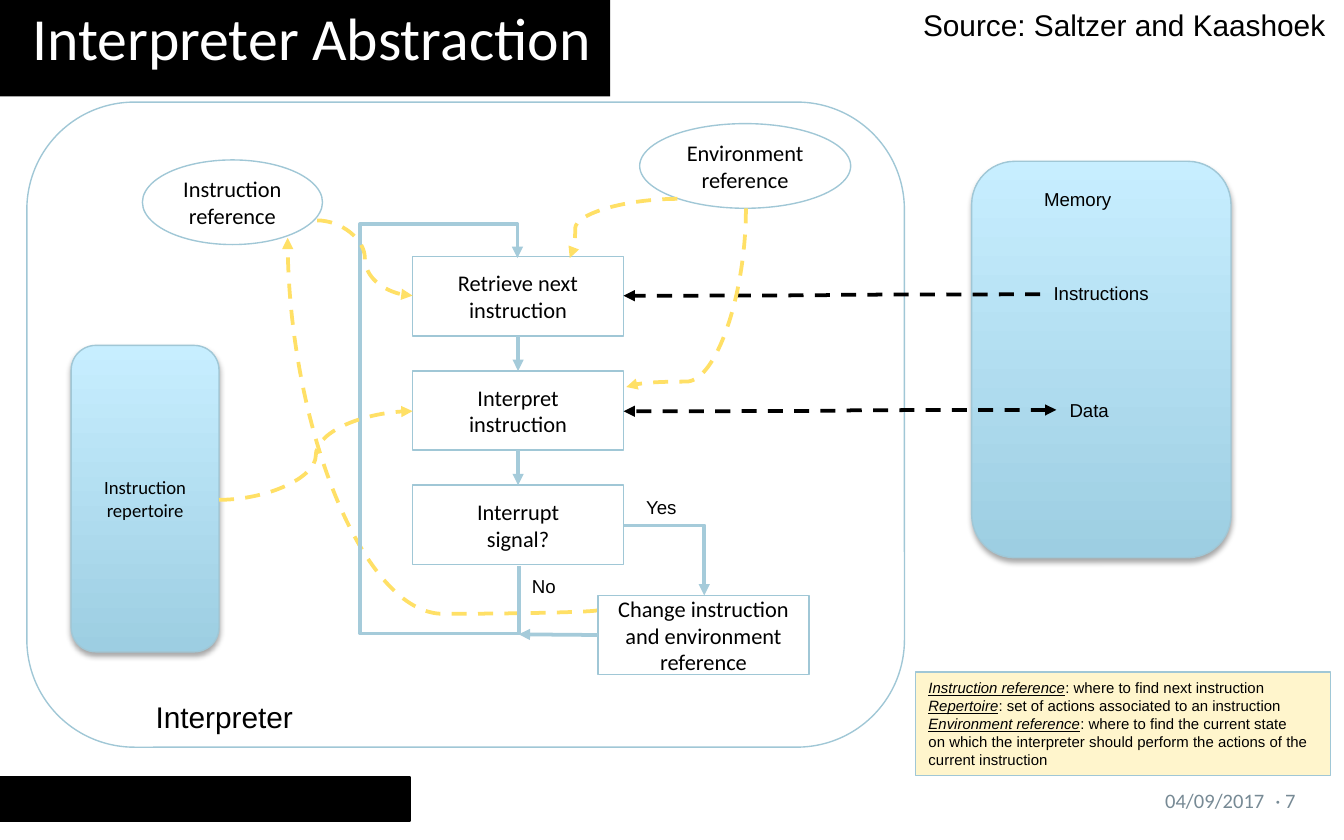
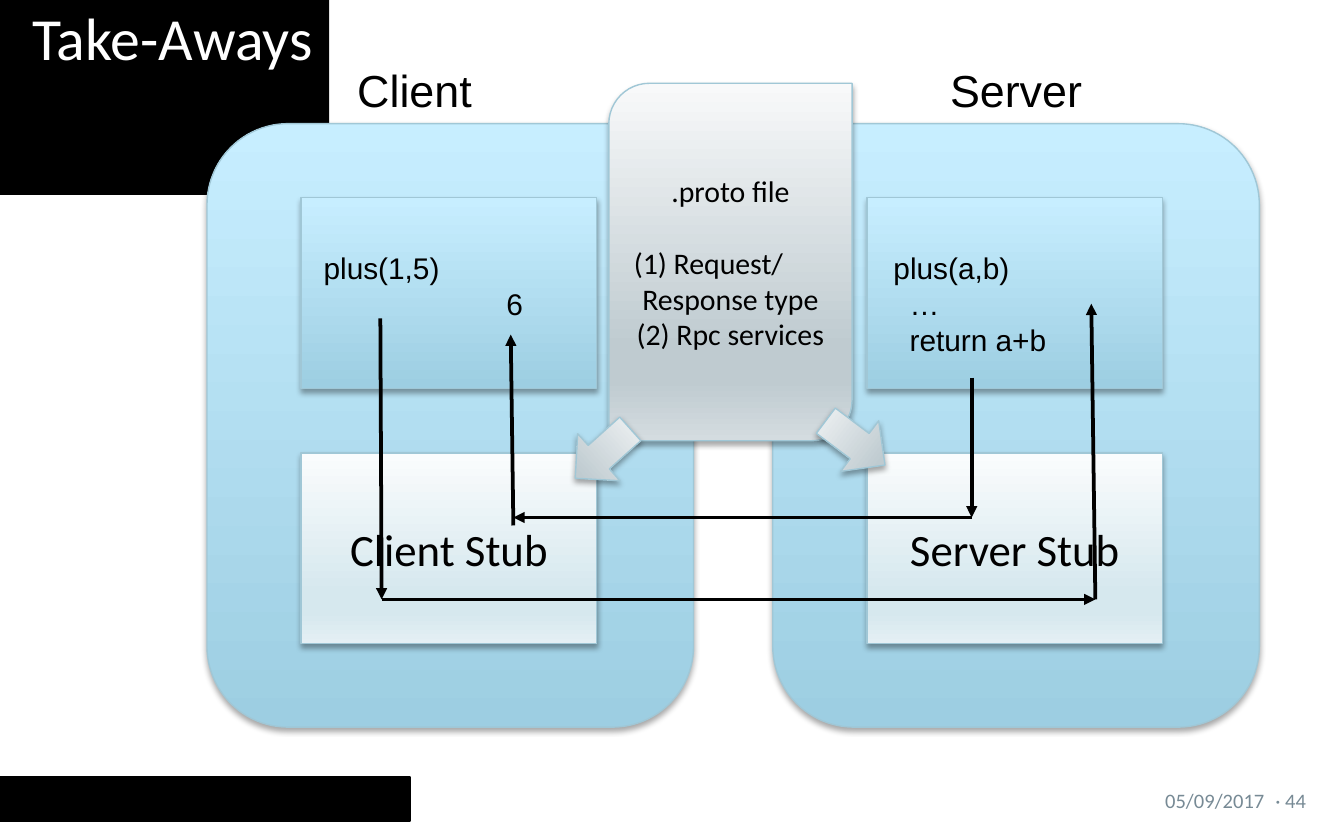
from lxml.etree import SubElement
from pptx import Presentation
from pptx.dml.color import RGBColor
from pptx.enum.dml import MSO_LINE
from pptx.enum.shapes import MSO_CONNECTOR, MSO_SHAPE
from pptx.enum.text import MSO_ANCHOR, MSO_AUTO_SIZE, PP_ALIGN
from pptx.oxml.ns import qn
from pptx.util import Inches, Pt

RECT, ROUND, OVAL = MSO_SHAPE.RECTANGLE, MSO_SHAPE.ROUNDED_RECTANGLE, MSO_SHAPE.OVAL
DIAGONAL, DOWN_ARROW = MSO_SHAPE.ROUND_2_DIAG_RECTANGLE, MSO_SHAPE.DOWN_ARROW
STRAIGHT, ELBOW, CURVE = MSO_CONNECTOR.STRAIGHT, MSO_CONNECTOR.ELBOW, MSO_CONNECTOR.CURVE
LEFT, CENTER, RIGHT = PP_ALIGN.LEFT, PP_ALIGN.CENTER, PP_ALIGN.RIGHT
TOP, MIDDLE = MSO_ANCHOR.TOP, MSO_ANCHOR.MIDDLE
FIT, DASH = MSO_AUTO_SIZE.SHAPE_TO_FIT_TEXT, MSO_LINE.DASH

COLORS = {
    "black": "000000", "white": "FFFFFF", "footer": "778A95", "outline": "A0C7D6",
    "flow": "A5CBDA", "reference": "FFE066", "legend": "FFF5CC",
}
# Gradients: angle (clockwise) and stops
GRADIENTS = {
    "blue": (270, [(0, "9DCEE2"), (100, "C7EEFF")]),
    "pale": (90, [(0, "FAFCFD"), (74, "D6E8EE"), (83, "D6E8EE"), (100, "E4EFF4")]),
    "gray": (90, [(0, "F8F9FA"), (74, "BFCBD0"), (83, "BFCBD0"), (100, "D4DCE0")]),
}


def add_box(page, kind, at, text="", size=12, font="Calibri", fill=None, color="black"):
    """Add a preset shape, or a text box that fits its text when kind is None."""
    place = [Inches(length) for length in at]
    if kind is None:
        box = page.shapes.add_textbox(*place)
    else:
        box = page.shapes.add_shape(kind, *place)
        box.shadow.inherit = False
    if fill in GRADIENTS:
        angle, stops = GRADIENTS[fill]
        box.fill.gradient()
        box.fill.gradient_angle = 360 - angle
        properties = box.element.spPr
        stop_list = properties.find(".//" + qn("a:gsLst"))
        for stop in list(stop_list):
            stop_list.remove(stop)
        for position, shade in stops:
            stop = SubElement(stop_list, qn("a:gs"), pos=str(position * 1000))
            SubElement(stop, qn("a:srgbClr"), val=shade)
        shadow = SubElement(properties.find(qn("a:effectLst")), qn("a:outerShdw"),
                            blurRad=str(Pt(3.1)), dist=str(Pt(1.8)), dir="5400000",
                            rotWithShape="0")
        tint = SubElement(shadow, qn("a:srgbClr"), val=COLORS["black"])
        SubElement(tint, qn("a:alpha"), val="35000")
    elif fill:
        box.fill.solid()
        box.fill.fore_color.rgb = RGBColor.from_string(COLORS[fill])
    else:
        box.fill.background()
    if kind is not None or fill:
        box.line.color.rgb = RGBColor.from_string(COLORS["outline"])
        box.line.width = Pt(0.75)
    if text or kind is None:
        frame = box.text_frame
        frame.text = text
        frame.word_wrap = kind is not None
        frame.vertical_anchor = TOP if kind is None else MIDDLE
        if kind is None:
            frame.auto_size = FIT
        for para in frame.paragraphs:
            para.alignment = LEFT if kind is None else CENTER
            for span in para.runs:
                span.font.size, span.font.name = Pt(size), font
                span.font.color.rgb = RGBColor.from_string(COLORS[color])
    return box


def add_arrow(page, kind, start, end, color="black", dash=False, preset=None,
              bends=(), turn=0, both=False):
    """Add an arrow; bends are fractions of its frame, turn rotates the frame."""
    arrow = page.shapes.add_connector(kind, *[Inches(length) for length in (*start, *end)])
    arrow.line.color.rgb = RGBColor.from_string(COLORS[color])
    arrow.line.width = Pt(2)
    if dash:
        arrow.line.dash_style = DASH
    properties = arrow.element.spPr
    line = properties.find(qn("a:ln"))
    if both:
        SubElement(line, qn("a:headEnd"), type="triangle")
    SubElement(line, qn("a:tailEnd"), type="triangle")
    SubElement(properties, qn("a:effectLst"))
    geometry = properties.find(qn("a:prstGeom"))
    if preset:
        geometry.set("prst", preset)
    for number, bend in enumerate(bends, 1):
        SubElement(geometry.find(qn("a:avLst")), qn("a:gd"), name=f"adj{number}",
                   fmla=f"val {round(bend * 100000)}")
    if turn:
        properties.find(qn("a:xfrm")).set("rot", str(turn * 60000))
    return arrow


deck = Presentation()
deck.slide_width, deck.slide_height = Inches(10), Inches(6.25)

# Shared frame: bottom band, title, date and page number
pages = []
for heading, title_width, date, number in [
    ("Interpreter Abstraction", 4.54, "04/09/2017", "· 7"),
    ("Take-Aways", 2.45, "05/09/2017", "· 44"),
]:
    page = deck.slides.add_slide(deck.slide_layouts[5])
    pages.append(page)
    band = add_box(page, RECT, (0, 5.78, 3.05, 0.33), fill="black")
    band.line.color.rgb = RGBColor.from_string(COLORS["black"])
    band.line.width = Pt(1)

    title = page.shapes.title
    title.left, title.top = Inches(0), Inches(0)
    title.width, title.height = Inches(title_width), Inches(0.62)
    title.fill.solid()
    title.fill.fore_color.rgb = RGBColor.from_string(COLORS["black"])
    frame = title.text_frame
    frame.text = heading
    frame.word_wrap, frame.auto_size, frame.vertical_anchor = False, FIT, MIDDLE
    frame.margin_left, frame.margin_right = Inches(0.24), Inches(0.1)
    frame.margin_top, frame.margin_bottom = Inches(0), Inches(0.08)
    para = frame.paragraphs[0]
    para.alignment = LEFT
    font = para.runs[0].font
    font.size, font.name = Pt(32), "Calibri"
    font.color.rgb = RGBColor.from_string(COLORS["white"])

    for text, left, width, alignment in [(date, 7.08, 2.33, RIGHT), (number, 9.49, 0.33, LEFT)]:
        note = add_box(page, None, (left, 5.79, width, 0.33), text, 11, color="footer")
        frame = note.text_frame
        frame.word_wrap, frame.auto_size = True, MSO_AUTO_SIZE.NONE
        frame.vertical_anchor = MIDDLE
        frame.margin_left = frame.margin_right = frame.margin_top = frame.margin_bottom = 0
        frame.paragraphs[0].alignment = alignment

interpreter_page, summary_page = pages

# Slide 1: interpreter frame, repertoire and memory
page = interpreter_page
add_box(page, None, (6.77, 0, 3.23, 0.37), "Source: Saltzer and Kaashoek", 16, "Arial")
add_box(page, ROUND, (0.2, 0.76, 6.53, 4.8))
add_arrow(page, CURVE, (1.91, 4.31), (4.68, 2), "reference", True, bends=[-0.01], turn=270)
add_box(page, ROUND, (0.53, 2.57, 1.1, 2.28), "Instruction repertoire", 10, fill="blue")
add_box(page, ROUND, (7.23, 1.2, 1.93, 2.95), fill="blue")

# Steps of the loop
steps = []
for row, (text, fill) in enumerate([
    ("Retrieve next instruction", None),
    ("Interpret\ninstruction", None),
    ("Interrupt\nsignal?", "white"),
]):
    steps.append(add_box(page, RECT, (3.07, 1.91 + 0.85 * row, 1.57, 0.59), text, fill=fill))
change = add_box(page, RECT, (4.45, 4.43, 1.57, 0.59),
                 "Change instruction and environment reference")
add_box(page, OVAL, (1.06, 1.19, 1.34, 0.63), "Instruction reference")
add_box(page, OVAL, (4.76, 0.92, 1.57, 0.63), "Environment reference")

# Control flow
for upper, lower in zip(steps, steps[1:]):
    arrow = add_arrow(page, STRAIGHT, (3.86, 2.5), (3.86, 2.76), "flow")
    arrow.begin_connect(upper, 2)
    arrow.end_connect(lower, 0)
add_arrow(page, ELBOW, (4.64, 3.91), (5.24, 4.43), "flow", preset="bentConnector2")
add_arrow(page, ELBOW, (5, 3.06), (2.71, 3.07), "flow", preset="bentConnector5",
          bends=[-0.22, 120, 1.11], turn=90)
arrow = add_arrow(page, STRAIGHT, (4.45, 4.72), (3.86, 4.72), "flow")
arrow.begin_connect(change, 1)

# References and memory accesses
for start, end, color, bend, turn, both in [
    ((1.63, 3.72), (3.07, 3.06), "reference", 0.5, 0, False),
    ((5.04, 1.48), (4.24, 1.92), "reference", 0.95, 0, False),
    ((7.74, 2.19), (4.64, 2.2), "black", 0.5, 0, False),
    ((7.86, 3.05), (4.64, 3.06), "black", 0.5, 0, True),
    ((2.36, 1.64), (3.07, 2.2), "reference", 0.5, 0, False),
    ((4.44, 1.77), (5.77, 2.66), "reference", 0.97, 90, False),
]:
    add_arrow(page, CURVE, start, end, color, True, bends=[bend], turn=turn, both=both)

# Labels
for text, at, size in [
    ("Memory", (7.67, 1.35, 0.71, 0.27), 10),
    ("Instructions", (7.74, 2.05, 0.92, 0.27), 10),
    ("Data", (7.86, 2.92, 0.5, 0.27), 10),
    ("Yes", (4.71, 3.64, 0.44, 0.27), 10),
    ("No", (3.86, 4.23, 0.38, 0.27), 10),
    ("Interpreter", (1.06, 5.15, 1.24, 0.37), 16),
]:
    add_box(page, None, at, text, size, "Arial")

# Legend
legend = add_box(page, None, (6.81, 5, 3.09, 0.77), fill="legend")
frame = legend.text_frame
for row, (term, meaning) in enumerate([
    ("Instruction reference", ": where to find next instruction"),
    ("Repertoire", ": set of actions associated to an instruction"),
    ("Environment reference", ": where to find the current state\non which the interpreter "
     "should perform the actions of the\ncurrent instruction"),
]):
    para = frame.add_paragraph() if row else frame.paragraphs[0]
    para.alignment = LEFT
    for part, text in enumerate([term, *meaning.split("\n")]):
        if part > 1:
            para.add_line_break()
        span = para.add_run()
        span.text = text
        span.font.size, span.font.name = Pt(8), "Arial"
        span.font.italic = span.font.underline = part == 0
        span.font.color.rgb = RGBColor.from_string(COLORS["black"])

# Slide 2: client and server
page = summary_page
for name, left, label_left, label_width in [
    ("Client", 1.54, 2.56, 1.06),
    ("Server", 5.75, 6.97, 1.19),
]:
    add_box(page, ROUND, (left, 0.92, 3.62, 4.49), fill="blue")
    add_box(page, None, (label_left, 0.42, label_width, 0.5), name, 24, "Arial")
    add_box(page, RECT, (left + 0.7, 1.47, 2.2, 1.42), fill="blue")
    add_box(page, RECT, (left + 0.7, 3.37, 2.2, 1.42), f"{name} Stub", 24, fill="pale")

# Code in the two programs
add_box(page, None, (2.31, 1.81, 1.07, 0.37), "plus(1,5)", 16, "Arial")
code = add_box(page, None, (6.55, 1.81, 1.36, 0.91), "plus(a,b)\n…\nreturn a+b", 16, "Arial")
for para in code.text_frame.paragraphs[1:]:
    para._p.get_or_add_pPr().set("marL", str(Inches(0.12)))
add_box(page, None, (3.67, 2.08, 0.31, 0.37), "6", 16, "Arial")

# Path of the call and of its result
for start, end in [
    ((2.83, 2.37), (2.84, 4.46)),
    ((7.23, 2.81), (7.23, 3.85)),
    ((8.15, 4.46), (8.12, 2.26)),
    ((3.82, 3.91), (3.8, 2.49)),
    ((2.84, 4.46), (8.15, 4.46)),
    ((7.23, 3.85), (3.82, 3.85)),
]:
    add_arrow(page, STRAIGHT, start, end)

# Interface file and the stubs made from it
proto = add_box(page, DIAGONAL, (4.53, 0.62, 1.81, 2.66),
                ".proto file\n(1) Request/\nResponse type\n(2) Rpc services", 16, fill="gray")
paragraphs = proto.text_frame.paragraphs
paragraphs[0].space_after = Pt(19.5)
paragraphs[1].alignment = LEFT
for left, top, turn in [(4.25, 3.1, 48.1), (6.13, 3.02, 306.9)]:
    pointer = add_box(page, DOWN_ARROW, (left, top, 0.47, 0.55), fill="gray")
    pointer.rotation = turn

deck.save("out.pptx")
